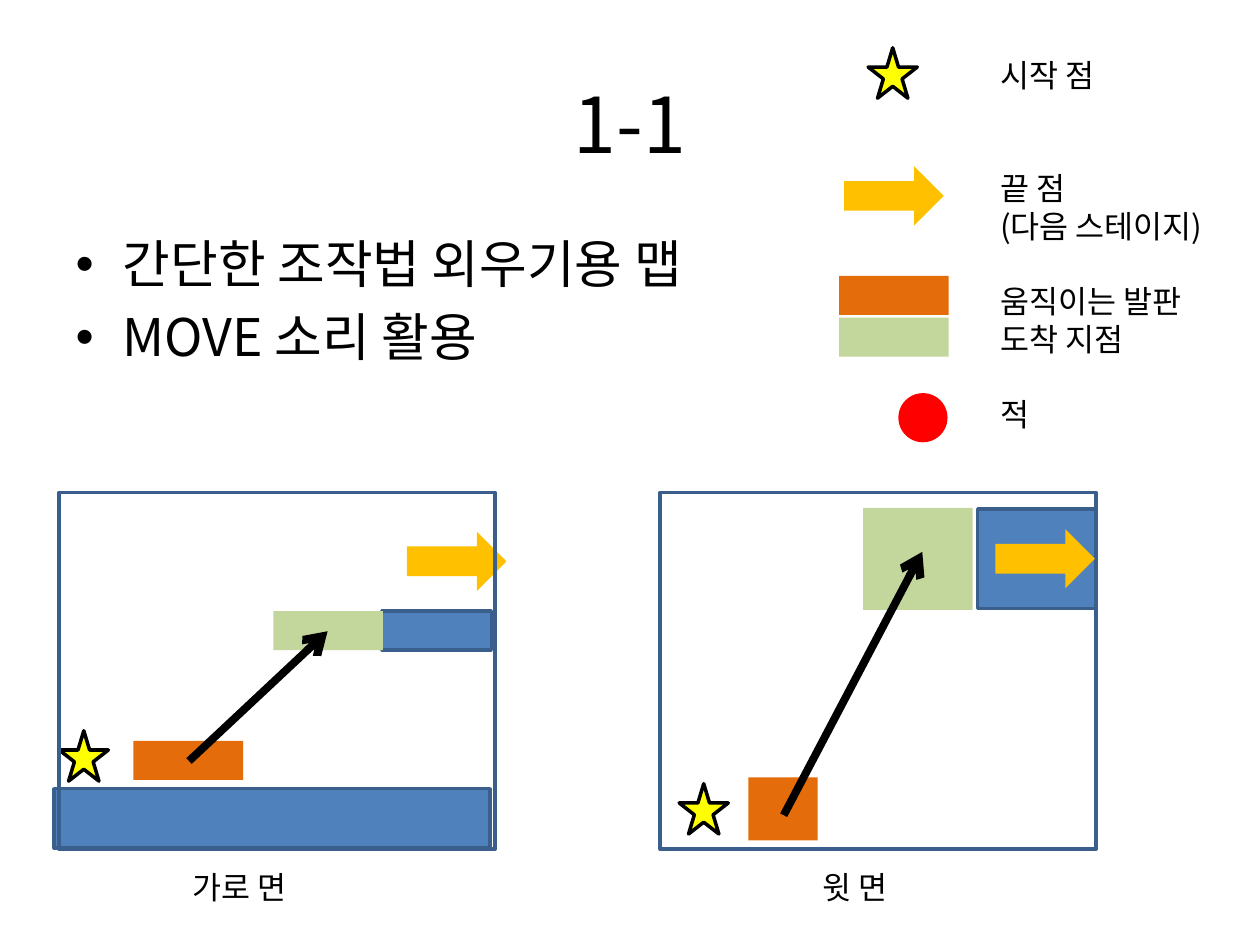
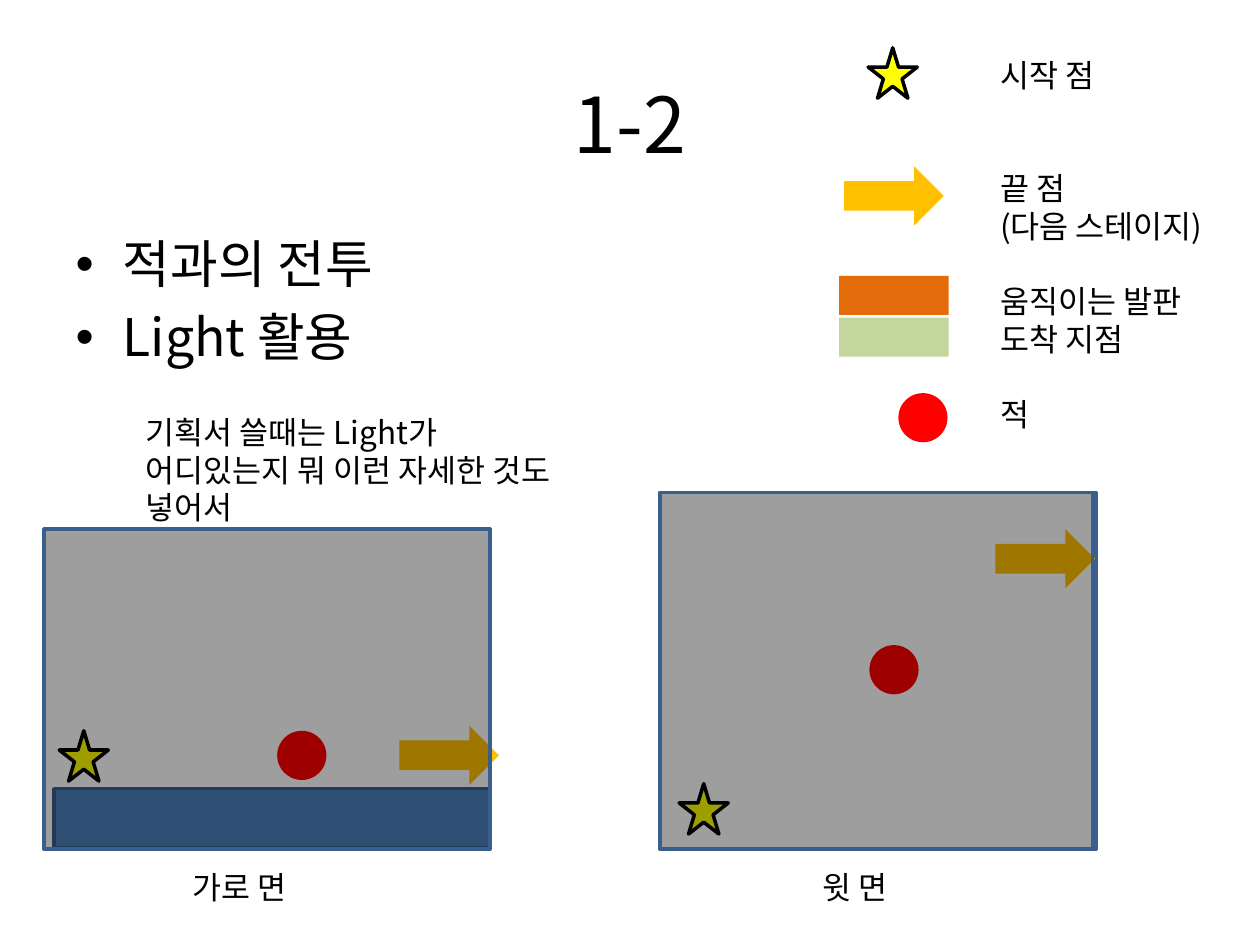
from lxml import etree
from pptx import Presentation
from pptx.dml.color import RGBColor
from pptx.enum import shapes, text
from pptx.oxml import ns
from pptx.util import Inches, Pt

FONT = "Noto Sans CJK KR"
BLACK = RGBColor(0x00, 0x00, 0x00)
YELLOW = RGBColor(0xFF, 0xFF, 0x00)
AMBER = RGBColor(0xFF, 0xC0, 0x00)
ORANGE = RGBColor(0xE4, 0x6C, 0x0A)
GREEN = RGBColor(0xC3, 0xD6, 0x9B)
RED = RGBColor(0xFF, 0x00, 0x00)
BLUE = RGBColor(0x4F, 0x81, 0xBD)
NAVY = RGBColor(0x3A, 0x5F, 0x8C)

PRESET = shapes.MSO_SHAPE
PLATE = (0.87, 0.31)
FLOOR = (0.43, 6.26, 3.46, 0.47)
SIDE_FRAME = (0.47, 3.91, 3.46, 2.83)
TOP_FRAME = (5.24, 3.91, 3.46, 2.83)
SIDE_START = (0.47, 5.8)
TOP_START = (5.39, 6.22)
TOP_EXIT = (7.9, 4.2)
# Each entry: wording and the gap above it in points
LEGEND = [("시작 점", 0), ("끝 점", 43), ("(다음 스테이지)", 0),
          ("움직이는 발판", 21.5), ("도착 지점", 0), ("적", 21.5)]


def add_xml(parent, tag, **attributes):
    return etree.SubElement(parent, ns.qn(tag), attributes)


class StageDeck:
    def __init__(self):
        self.deck = Presentation()
        self.deck.slide_width, self.deck.slide_height = Inches(10), Inches(7.5)
        self.page = None

    def start_page(self, title, points):
        self.page = self.deck.slides.add_slide(self.deck.slide_layouts[1])
        heading, body = self.page.placeholders
        self.place(heading, 0.5, 0.3, 9, 1.25)
        self.set_lines(heading, [(title, 0)], 44, 60)
        heading.text_frame.paragraphs[0].alignment = text.PP_ALIGN.CENTER
        self.place(body, 0.5, 1.75, 9, 1.13)
        body.text_frame.margin_top = Inches(0.09)
        self.set_lines(body, [(point, 6 * (i > 0)) for i, point in enumerate(points)],
                       29.6, 35.7)

    def place(self, box, left, top, width, height):
        box.left, box.top = Inches(left), Inches(top)
        box.width, box.height = Inches(width), Inches(height)

    def set_lines(self, box, lines, size, pitch):
        """Fill a box with (wording, gap above) lines at a fixed line pitch."""
        frame = box.text_frame
        frame.text = "\n".join(wording for wording, _ in lines)
        for paragraph, (_, gap) in zip(frame.paragraphs, lines):
            paragraph.line_spacing = Pt(pitch)
            paragraph.space_before = Pt(gap)
            for span in paragraph.runs:
                span.font.size = Pt(size)
                span.font.name = FONT
                span.font.color.rgb = BLACK
                add_xml(span.font._element, "a:ea", typeface=FONT)

    def note(self, lines, left, top, width, height):
        box = self.page.shapes.add_textbox(
            Inches(left), Inches(top), Inches(width), Inches(height))
        box.text_frame.word_wrap = True
        box.text_frame.margin_top = Inches(0.07)
        self.set_lines(box, lines, 18, 21.5)
        return box

    def shape(self, preset, left, top, width, height, fill=None, line=None):
        item = self.page.shapes.add_shape(
            preset, Inches(left), Inches(top), Inches(width), Inches(height))
        item.shadow.inherit = False
        if fill is None:
            item.fill.background()
        else:
            item.fill.solid()
            item.fill.fore_color.rgb = fill
        if line is None:
            item.line.fill.background()
        else:
            item.line.color.rgb = line
            item.line.width = Pt(2)
        return item

    def block(self, left, top, width, height, fill=None, line=NAVY):
        return self.shape(PRESET.RECTANGLE, left, top, width, height, fill, line)

    def darkness(self, left, top, width, height):
        shade = self.block(left, top, width, height, BLACK)
        colour = shade._element.spPr.find(".//" + ns.qn("a:srgbClr"))
        add_xml(colour, "a:alpha", val="38000")

    def start_star(self, left, top):
        self.shape(PRESET.STAR_5_POINT, left, top, 0.39, 0.4, YELLOW, BLACK)

    def exit_arrow(self, left, top):
        self.shape(PRESET.RIGHT_ARROW, left, top, 0.79, 0.47, AMBER)

    def enemy(self, left, top):
        self.shape(PRESET.OVAL, left, top, 0.39, 0.39, RED)

    def plate(self, left, top, fill, size=PLATE):
        self.block(left, top, *size, fill, None)

    def route(self, x1, y1, x2, y2):
        """Arrow showing where a moving plate travels."""
        arrow = self.page.shapes.add_connector(
            shapes.MSO_CONNECTOR.STRAIGHT,
            Inches(x1), Inches(y1), Inches(x2), Inches(y2))
        arrow.line.color.rgb = BLACK
        arrow.line.width = Pt(4.5)
        add_xml(arrow._element.spPr.find(ns.qn("a:ln")), "a:tailEnd", type="arrow")
        add_xml(arrow._element.spPr, "a:effectLst")

    def legend(self):
        self.start_star(6.89, 0.38)
        self.exit_arrow(6.7, 1.32)
        self.plate(6.66, 2.19, ORANGE)
        self.plate(6.66, 2.52, GREEN)
        self.enemy(7.13, 3.12)
        self.note(LEGEND, 7.84, 0.38, 2.16, 3.13)

    def view_captions(self):
        box = self.note([("\t가로 면\t윗 면", 0)], 0.43, 6.82, 8.27, 0.4)
        properties = box.text_frame.paragraphs[0]._p.get_or_add_pPr()
        stops = add_xml(properties, "a:tabLst")
        for position in (1, 6):
            add_xml(stops, "a:tab", pos=str(int(Inches(position))), algn="l")


def build_move_stage(stage):
    stage.start_page("1-1", ["간단한 조작법 외우기용 맵", "MOVE 소리 활용"])
    stage.view_captions()
    stage.legend()

    stage.block(*TOP_FRAME)
    stage.block(7.76, 4.04, 0.94, 0.79, BLUE)
    stage.plate(5.94, 6.17, ORANGE, (0.55, 0.5))
    stage.start_star(*TOP_START)
    stage.exit_arrow(*TOP_EXIT)
    stage.plate(6.85, 4.03, GREEN, (0.87, 0.81))
    stage.route(6.22, 6.47, 7.32, 4.38)

    stage.block(*FLOOR, BLUE)
    stage.plate(1.06, 5.88, ORANGE)
    stage.start_star(*SIDE_START)
    stage.block(3.03, 4.85, *PLATE, BLUE)
    stage.exit_arrow(3.23, 4.22)
    stage.plate(2.17, 4.85, GREEN)
    stage.route(1.5, 6.04, 2.6, 5.01)
    stage.block(*SIDE_FRAME)


def build_light_stage(stage):
    stage.start_page("1-2", ["적과의 전투", "Light 활용"])
    stage.view_captions()

    stage.block(*FLOOR, BLUE)
    stage.start_star(*SIDE_START)
    stage.exit_arrow(3.17, 5.76)
    stage.enemy(2.2, 5.8)
    stage.darkness(0.35, 4.2, 3.54, 2.54)

    stage.block(*TOP_FRAME)
    stage.start_star(*TOP_START)
    stage.exit_arrow(*TOP_EXIT)
    stage.enemy(6.9, 5.12)
    stage.darkness(5.24, 3.91, 3.43, 2.83)

    stage.note([("기획서 쓸때는 Light가 어디있는지 뭐 이런 자세한 것도 넣어서", 0)],
               1.06, 3.21, 3.5, 1.01)
    stage.legend()


def main():
    stage = StageDeck()
    build_move_stage(stage)
    build_light_stage(stage)
    stage.deck.save("out.pptx")


if __name__ == "__main__":
    main()
